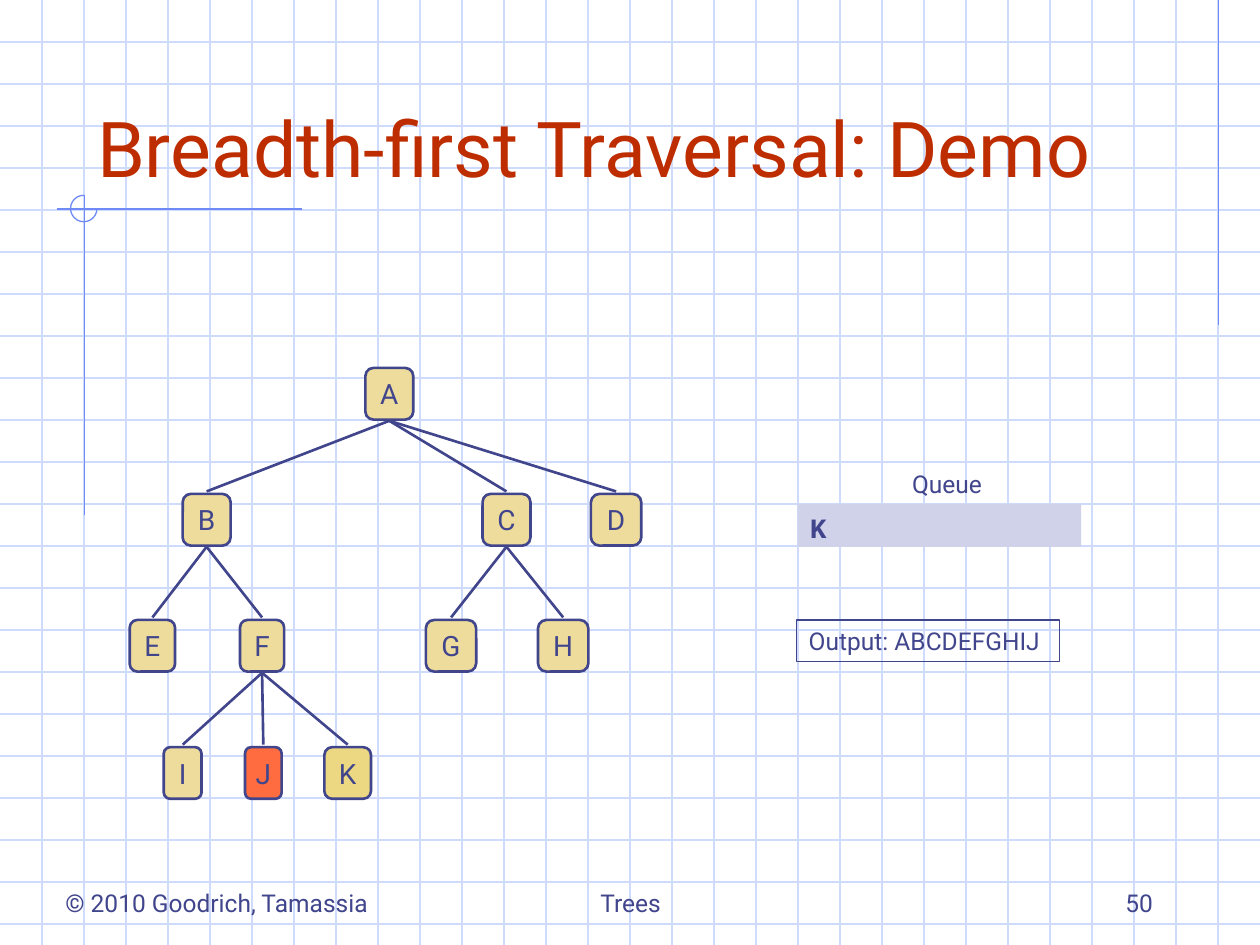
from lxml.etree import SubElement
from pptx import Presentation
from pptx.dml.color import RGBColor
from pptx.enum.shapes import MSO_CONNECTOR, MSO_SHAPE
from pptx.enum.text import MSO_ANCHOR, MSO_AUTO_SIZE, PP_ALIGN
from pptx.oxml.ns import qn
from pptx.util import Inches, Pt

WHITE = RGBColor(0xFF, 0xFF, 0xFF)
GRID = RGBColor(0xCF, 0xDB, 0xFD)
ACCENT = RGBColor(0x6F, 0x89, 0xF7)
RED = RGBColor(0xBE, 0x2D, 0x00)
INK = RGBColor(0x40, 0x45, 0x8C)
SAND = RGBColor(0xED, 0xDC, 0x9C)
YELLOW = RGBColor(0xEC, 0xD8, 0x82)
ORANGE = RGBColor(0xFF, 0x6C, 0x3F)
LAVENDER = RGBColor(0xD0, 0xD2, 0xEA)

WIDTH, HEIGHT = 10, 7.5
LEVEL_TOPS = (2.92, 3.92, 4.92, 5.93)
NODE_HEIGHT = 0.41

# Node: (level, centre x, width, fill, children)
TREE = {
    "A": (0, 3.09, 0.38, SAND, "BCD"),
    "B": (1, 1.64, 0.38, SAND, "EF"),
    "C": (1, 4.02, 0.38, SAND, "GH"),
    "D": (1, 4.89, 0.40, SAND, ""),
    "E": (2, 1.21, 0.36, SAND, ""),
    "F": (2, 2.08, 0.35, SAND, "IJK"),
    "G": (2, 3.58, 0.40, SAND, ""),
    "H": (2, 4.47, 0.40, SAND, ""),
    "I": (3, 1.45, 0.30, SAND, ""),
    "J": (3, 2.09, 0.29, ORANGE, ""),
    "K": (3, 2.76, 0.37, YELLOW, ""),
}


class SlideBuilder:
    """Holds the style and the current slide."""

    font = "Roboto"

    def __init__(self, slide):
        self.slide = slide
        self.shapes = slide.shapes

    def set_text(self, shape, text, size, color=INK, align=PP_ALIGN.LEFT,
                 anchor=MSO_ANCHOR.TOP, wrap=False, font=None, bold=False):
        frame = shape.text_frame
        frame.text = text
        frame.word_wrap = wrap
        frame.auto_size = MSO_AUTO_SIZE.NONE
        frame.vertical_anchor = anchor
        paragraph = frame.paragraphs[0]
        paragraph.alignment = align
        paragraph.font.name = font or self.font
        paragraph.font.size = Pt(size)
        paragraph.font.bold = bold
        paragraph.font.color.rgb = color

    def line(self, x1, y1, x2, y2, color, weight=0.75):
        connector = self.shapes.add_connector(
            MSO_CONNECTOR.STRAIGHT, Inches(x1), Inches(y1), Inches(x2), Inches(y2))
        connector.line.color.rgb = color
        connector.line.width = Pt(weight)
        SubElement(connector.element.spPr, qn("a:effectLst"))

    def shape(self, kind, left, top, width, height, fill=None, outline=None, weight=0.75):
        shape = self.shapes.add_shape(
            kind, Inches(left), Inches(top), Inches(width), Inches(height))
        shape.shadow.inherit = False
        if fill is None:
            shape.fill.background()
        else:
            shape.fill.solid()
            shape.fill.fore_color.rgb = fill
        if outline is None:
            shape.line.fill.background()
        else:
            shape.line.color.rgb = outline
            shape.line.width = Pt(weight)
        return shape

    def label(self, text, left, top, width, height, **style):
        box = self.shapes.add_textbox(
            Inches(left), Inches(top), Inches(width), Inches(height))
        self.set_text(box, text, 14, **style)

    def title(self, text):
        title = self.shapes.title
        title.left, title.top = Inches(0.67), Inches(0.33)
        title.width, title.height = Inches(8.5), Inches(1.25)
        self.set_text(title, text, 44, RED, anchor=MSO_ANCHOR.BOTTOM, wrap=True)
        # Bring the title in front of the grid
        title.element.getparent().append(title.element)

    def node(self, letter, level, center, width, fill):
        box = self.shape(MSO_SHAPE.ROUNDED_RECTANGLE, center - width / 2,
                         LEVEL_TOPS[level], width, NODE_HEIGHT, fill, INK, 1.5)
        self.set_text(box, letter, 16, align=PP_ALIGN.CENTER, anchor=MSO_ANCHOR.MIDDLE)

    def edge(self, parent, child):
        parent_level, parent_x = TREE[parent][:2]
        child_level, child_x = TREE[child][:2]
        self.line(parent_x, LEVEL_TOPS[parent_level] + NODE_HEIGHT + 0.01,
                  child_x, LEVEL_TOPS[child_level] - 0.02, INK, 1.5)


def main():
    prs = Presentation()
    prs.slide_width, prs.slide_height = Inches(WIDTH), Inches(HEIGHT)
    slide = prs.slides.add_slide(prs.slide_layouts[5])
    slide.background.fill.solid()
    slide.background.fill.fore_color.rgb = WHITE
    builder = SlideBuilder(slide)

    # Background grid, three squares to the inch
    for row in range(1, 23):
        builder.line(0, row / 3, WIDTH, row / 3, GRID)
    for column in range(1, 30):
        builder.line(column / 3, 0, column / 3, HEIGHT, GRID)

    # Accent lines and three-quarter circle
    builder.line(9.67, 0, 9.67, 2.58, ACCENT)
    builder.line(2.4, 1.66, 0.45, 1.66, ACCENT)
    builder.line(0.67, 1.55, 0.67, 4.09, ACCENT)
    circle = builder.shape(MSO_SHAPE.ARC, 0.56, 1.55, 0.21, 0.21, outline=ACCENT)
    circle.adjustments[0] = 0
    circle.adjustments[1] = 162  # 270 degrees

    builder.title("Breadth-first Traversal: Demo")

    # Footer
    for text, left, width, align in (
        ("© 2010 Goodrich, Tamassia", 0.42, 2.75, PP_ALIGN.LEFT),
        ("Trees", 3.42, 3.17, PP_ALIGN.CENTER),
        ("50", 7.17, 2.08, PP_ALIGN.RIGHT),
    ):
        builder.label(text, left, 6.83, width, 0.5, align=align,
                      anchor=MSO_ANCHOR.BOTTOM, wrap=True)

    # Tree
    for letter, (level, center, width, fill, _) in TREE.items():
        builder.node(letter, level, center, width, fill)
    for parent, (*_, children) in TREE.items():
        for child in children:
            builder.edge(parent, child)

    # Queue and output
    queue = builder.shape(MSO_SHAPE.RECTANGLE, 6.33, 4, 2.25, 0.34, LAVENDER)
    builder.set_text(queue, "K", 16, font="Courier New", bold=True)
    output = builder.shape(MSO_SHAPE.RECTANGLE, 6.32, 4.92, 2.09, 0.33, outline=INK)
    builder.set_text(output, "Output: ABCDEFGHIJ", 14)
    builder.label("Queue", 7.14, 3.67, 0.82, 0.33)

    prs.save("out.pptx")


if __name__ == "__main__":
    main()
